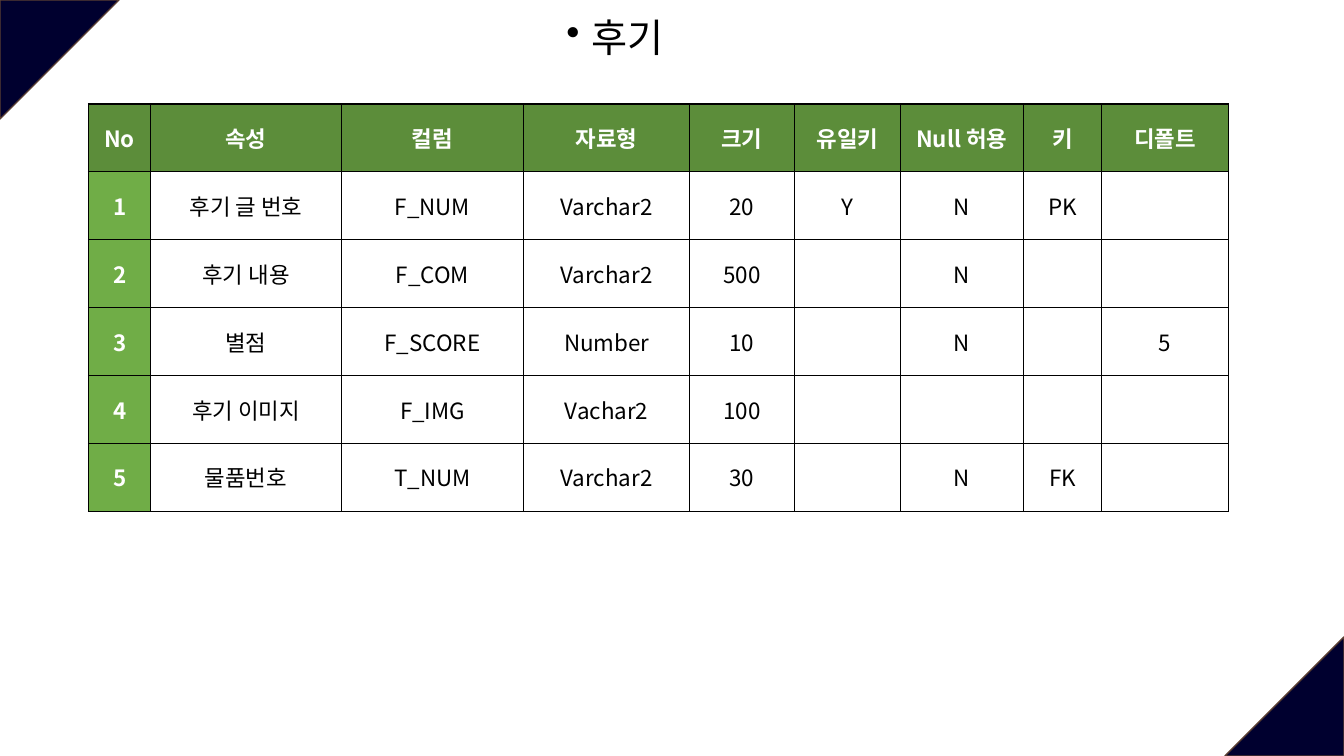
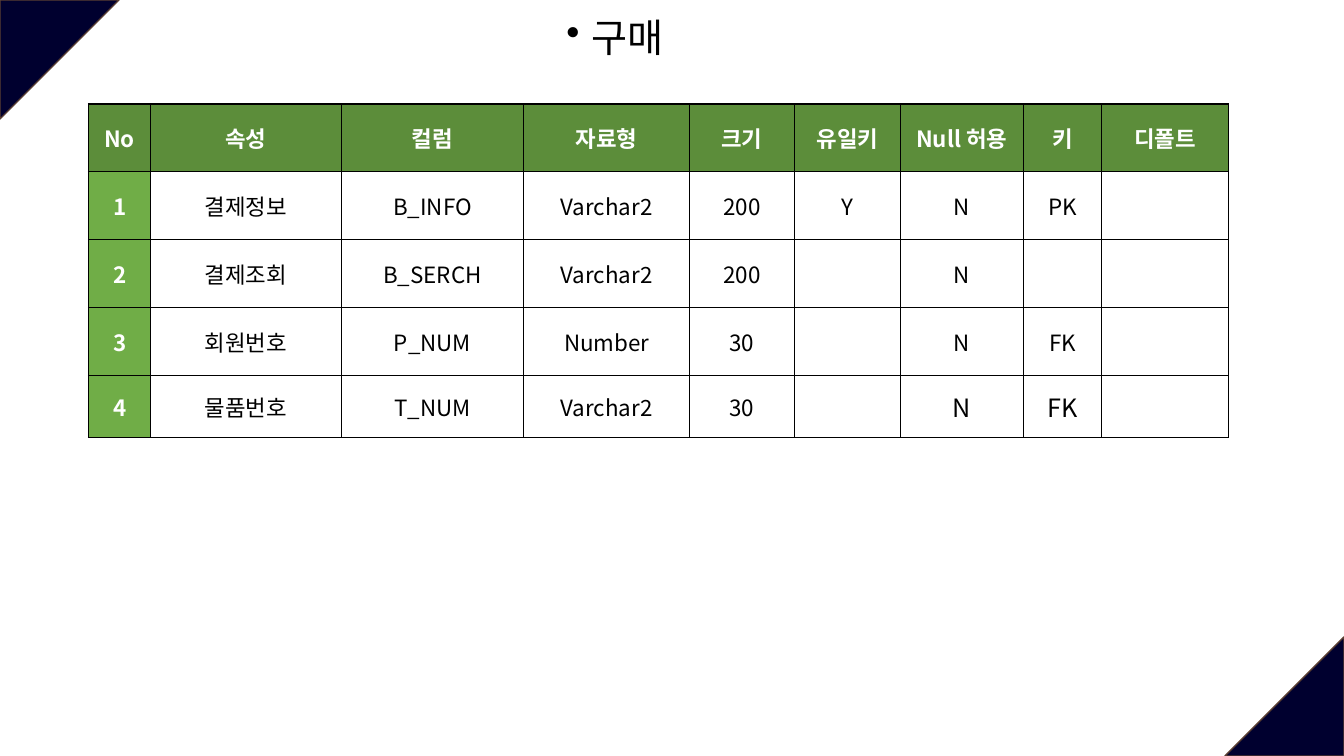
from dataclasses import dataclass

from lxml import etree
from pptx import Presentation
from pptx.dml.color import RGBColor
from pptx.enum import shapes, text
from pptx.oxml.ns import qn
from pptx.util import Cm, Pt


@dataclass(frozen=True)
class Theme:
    font: str = "Noto Sans CJK KR"
    ink: str = "000000"
    white: str = "FFFFFF"
    navy: str = "00002F"
    brown: str = "5B3F33"
    header: str = "5C8D3A"
    number: str = "70AD47"
    title_size: int = 28
    cell_size: int = 16
    large_size: int = 18


T = Theme()

HEADERS = ["No", "속성", "컬럼", "자료형", "크기", "유일키", "Null 허용", "키", "디폴트"]
COLUMN_WIDTHS = [1.57, 4.8, 4.6, 4.18, 2.64, 2.67, 3.1, 1.97, 3.2]
ROW_HEIGHT = 1.71

# Rows are numbered when drawn; "large" holds (row, column) of bigger cells.
TABLES = [
    {
        "title": "후기",
        "rows": [
            ["후기 글 번호", "F_NUM", "Varchar2", "20", "Y", "N", "PK", ""],
            ["후기 내용", "F_COM", "Varchar2", "500", "", "N", "", ""],
            ["별점", "F_SCORE", "Number", "10", "", "N", "", "5"],
            ["후기 이미지", "F_IMG", "Vachar2", "100", "", "", "", ""],
            ["물품번호", "T_NUM", "Varchar2", "30", "", "N", "FK", ""],
        ],
    },
    {
        "title": "구매",
        "rows": [
            ["결제정보", "B_INFO", "Varchar2", "200", "Y", "N", "PK", ""],
            ["결제조회", "B_SERCH", "Varchar2", "200", "", "N", "", ""],
            ["회원번호", "P_NUM", "Number", "30", "", "N", "FK", ""],
            ["물품번호", "T_NUM", "Varchar2", "30", "", "N", "FK", ""],
        ],
        "large": {(4, 6), (4, 7)},
        "last_height": 1.57,
    },
]


def rgb(color):
    return RGBColor.from_string(color)


def write(tf, words, size=T.cell_size, color=T.ink, bold=False, bullet=False):
    p = tf.paragraphs[0]
    p.alignment = text.PP_ALIGN.CENTER
    if bullet:
        pPr = p._p.get_or_add_pPr()
        indent = Cm(0.64)
        pPr.set("marL", str(indent))
        pPr.set("indent", str(-indent))
        etree.SubElement(pPr, qn("a:buChar")).set("char", "•")
    r = p.add_run()
    r.text = words
    r.font.size, r.font.bold, r.font.name = Pt(size), bold, T.font
    r.font.color.rgb = rgb(color)
    etree.SubElement(r._r.get_or_add_rPr(), qn("a:ea")).set("typeface", T.font)


def add_borders(cell):
    tcPr = cell._tc.get_or_add_tcPr()
    for i, side in enumerate(("lnL", "lnR", "lnT", "lnB")):
        ln = etree.Element(qn(f"a:{side}"), w=str(Pt(1)))
        fill = etree.SubElement(ln, qn("a:solidFill"))
        etree.SubElement(fill, qn("a:srgbClr")).set("val", T.ink)
        tcPr.insert(i, ln)


def decorate_layout(prs, layout, slide):
    """Draw the corners on a slide, then move them into its layout."""
    side = Cm(3)
    corners = [(0, 0, 90), (prs.slide_width - side, prs.slide_height - side, 270)]
    tree = layout.element.cSld.spTree
    for i, (left, top, rotation) in enumerate(corners):
        sp = slide.shapes.add_shape(
            shapes.MSO_SHAPE.ISOSCELES_TRIANGLE, left, top, side, side)
        sp.name = f"Corner {i + 1}"
        sp.adjustments[0] = 0
        sp.rotation = rotation
        sp.shadow.inherit = False
        sp.fill.solid()
        sp.fill.fore_color.rgb = rgb(T.navy)
        sp.line.color.rgb = rgb(T.brown)
        sp.line.width = Pt(1)
        sp.element.nvSpPr.cNvPr.set("id", str(100 + i))
        tree.insert(2 + i, sp.element)


def place_title(layout):
    title = layout.placeholders[0]
    title.left, title.top = Cm(4.72), Cm(0)
    title.width, title.height = Cm(21.56), Cm(1.88)


def fill_cell(cell, words, row, col, large):
    cell.vertical_anchor = text.MSO_ANCHOR.MIDDLE
    cell.margin_left = cell.margin_right = Cm(0.15)
    cell.margin_top = cell.margin_bottom = Cm(0.15)
    shade = T.header if row == 0 else T.number if col == 0 else None
    if shade:
        cell.fill.solid()
        cell.fill.fore_color.rgb = rgb(shade)
    else:
        cell.fill.background()
    add_borders(cell)
    if words:
        write(cell.text_frame, words, bold=bool(shade),
              color=T.white if shade else T.ink,
              size=T.large_size if (row, col) in large else T.cell_size)


def add_schema_table(slide, spec_rows, large=(), last_height=ROW_HEIGHT):
    grid = [HEADERS] + [[str(n), *row] for n, row in enumerate(spec_rows, 1)]
    heights = [ROW_HEIGHT] * len(spec_rows) + [last_height]
    table = slide.shapes.add_table(
        len(grid), len(HEADERS), Cm(2.23), Cm(2.62),
        Cm(sum(COLUMN_WIDTHS)), Cm(sum(heights))).table
    table.horz_banding = False
    for column, width in zip(table.columns, COLUMN_WIDTHS):
        column.width = Cm(width)
    for i, (row, height) in enumerate(zip(grid, heights)):
        table.rows[i].height = Cm(height)
        for j, words in enumerate(row):
            fill_cell(table.cell(i, j), words, i, j, large)


def main():
    prs = Presentation()
    prs.slide_width, prs.slide_height = Cm(33.87), Cm(19.05)
    layout = prs.slide_layouts[5]
    place_title(layout)
    for n, content in enumerate(TABLES):
        slide = prs.slides.add_slide(layout)
        if n == 0:
            decorate_layout(prs, layout, slide)
        tf = slide.shapes.title.text_frame
        tf.vertical_anchor = text.MSO_ANCHOR.MIDDLE
        tf.auto_size = text.MSO_AUTO_SIZE.NONE
        write(tf, content["title"], size=T.title_size, bullet=True)
        add_schema_table(slide, content["rows"], content.get("large", ()),
                         content.get("last_height", ROW_HEIGHT))
    prs.save("out.pptx")


if __name__ == "__main__":
    main()
